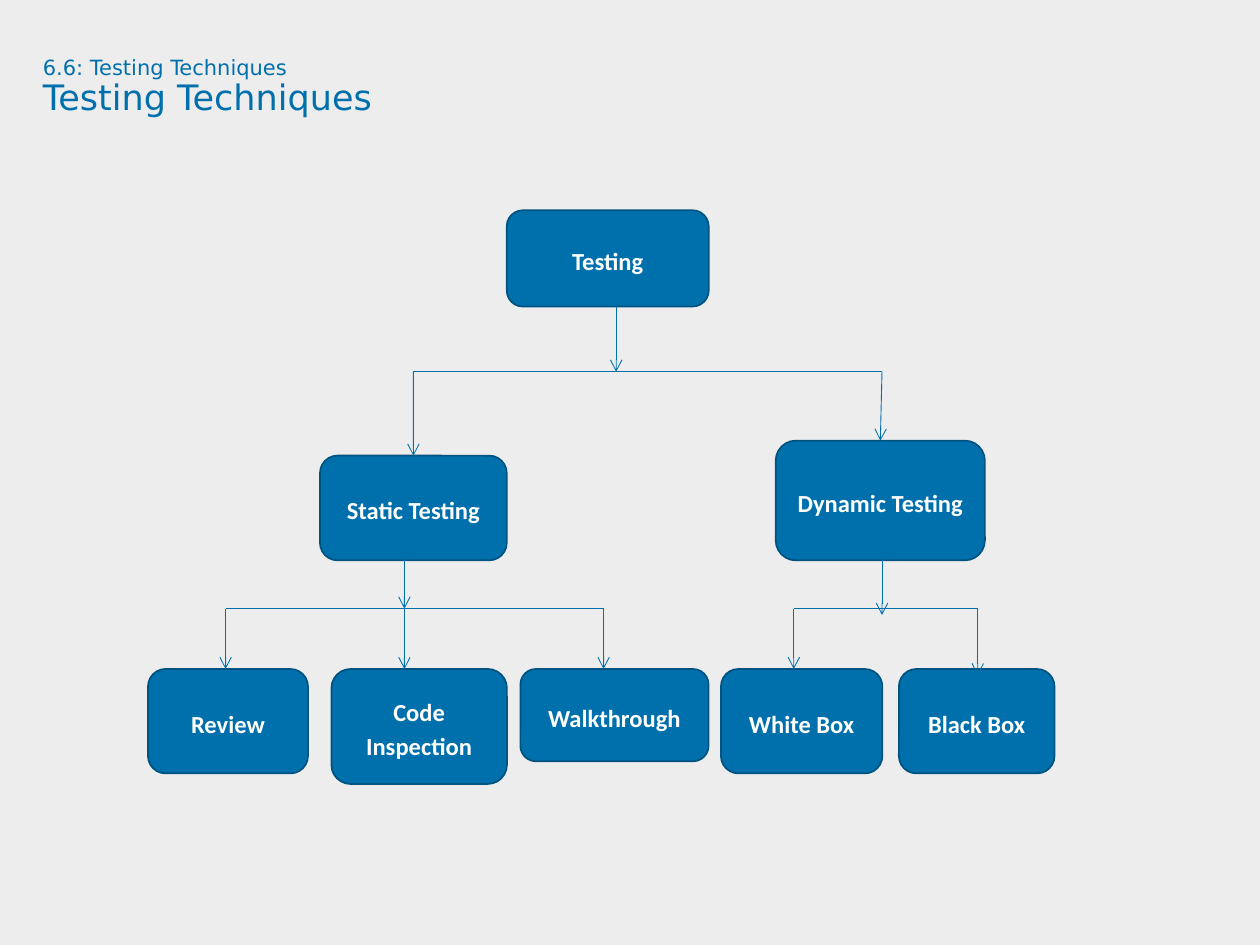
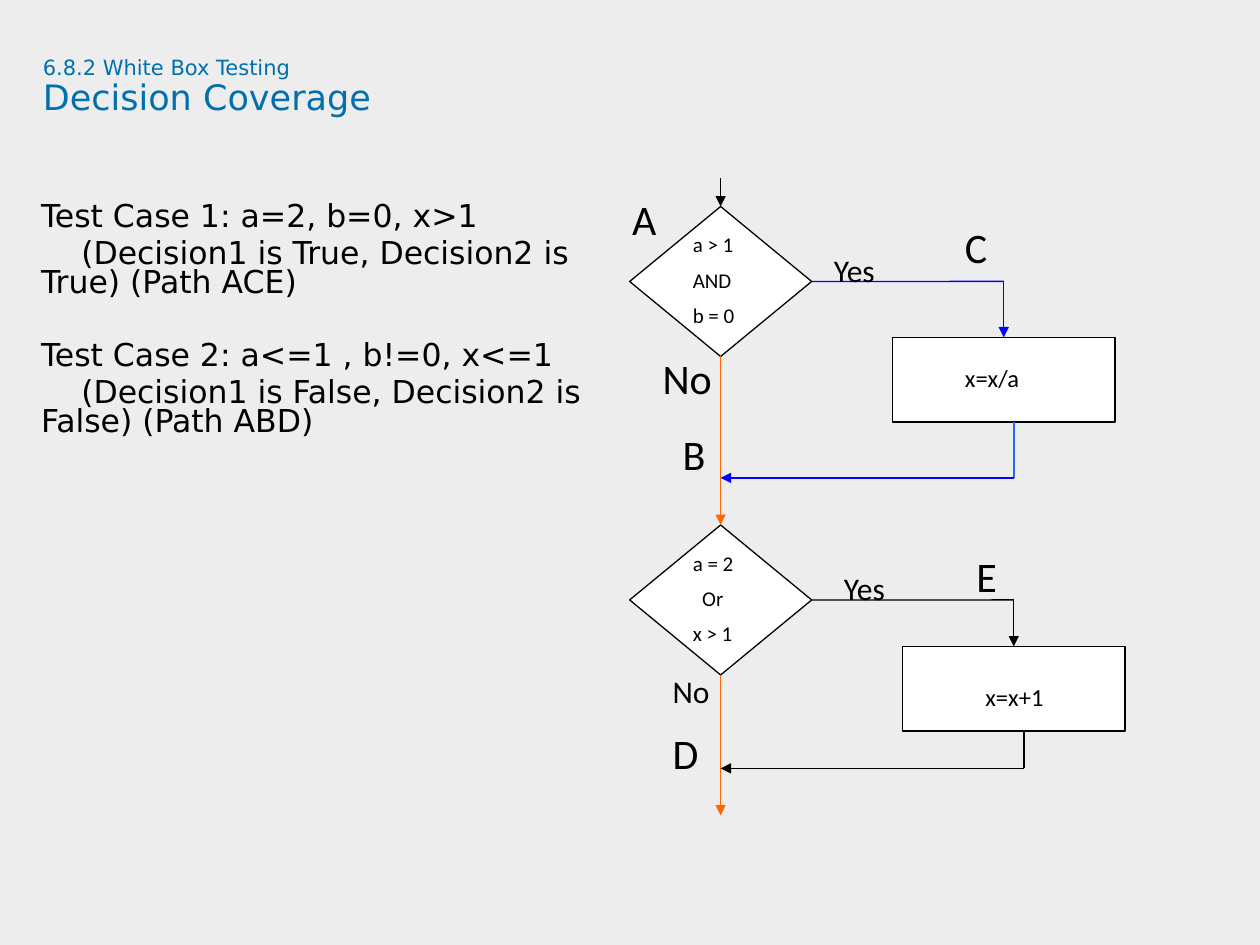
from lxml.etree import SubElement
from pptx import Presentation
from pptx.dml.color import RGBColor
from pptx.enum.shapes import MSO_CONNECTOR as Connector, MSO_SHAPE as Preset
from pptx.enum.text import MSO_ANCHOR as Anchor, PP_ALIGN as Align
from pptx.oxml.ns import qn
from pptx.util import Pt

BLUE = RGBColor(0x00, 0x70, 0xAD)
DARK_BLUE = RGBColor(0x00, 0x53, 0x80)
PURE_BLUE = RGBColor(0x00, 0x00, 0xFF)
LIGHT_BLUE = RGBColor(0x33, 0x66, 0xFF)
ORANGE = RGBColor(0xFF, 0x66, 0x00)
GREY = RGBColor(0xED, 0xED, 0xED)
WHITE = RGBColor(0xFF, 0xFF, 0xFF)
BLACK = RGBColor(0, 0, 0)
HEADING_FONT = "DejaVu Sans"
DIAGRAM_FONT = "Calibri"
TOP, BOTTOM, RIGHT = 0, 2, 3


def write(shape, lines, sizes, font=DIAGRAM_FONT, color=BLACK, bold=False,
          align=Align.LEFT, anchor=Anchor.TOP, inset=None,
          spacing=None, after=0, indents=()):
    """Write one paragraph per line; a single size or after serves all lines."""
    frame = shape.text_frame
    frame.word_wrap = True
    frame.vertical_anchor = anchor
    if inset is not None:
        frame.margin_left = frame.margin_right = Pt(inset)
        frame.margin_top = frame.margin_bottom = Pt(inset)
    for number, line in enumerate(lines):
        para = frame.add_paragraph() if number else frame.paragraphs[0]
        para.alignment = align
        para.line_spacing = spacing
        para.space_after = Pt(after[number] if isinstance(after, tuple) else after)
        if indents:
            para._p.get_or_add_pPr().set("indent", str(Pt(indents[number])))
        span = para.add_run()
        span.text = line
        span.font.size = Pt(sizes[number] if isinstance(sizes, tuple) else sizes)
        span.font.name = font
        span.font.bold = bold
        span.font.color.rgb = color


def connect(page, start, end, color, width, head=None, start_join=None, end_join=None):
    """Draw a straight line; a join is a (shape, side) pair."""
    line = page.shapes.add_connector(Connector.STRAIGHT, *map(Pt, start + end))
    if start_join:
        line.begin_connect(*start_join)
    if end_join:
        line.end_connect(*end_join)
    line.line.color.rgb = color
    line.line.width = Pt(width)
    if head:
        SubElement(line.line._get_or_add_ln(), qn("a:tailEnd"), type=head)
    SubElement(line._element.spPr, qn("a:effectLst"))


deck = Presentation()
deck.slide_width, deck.slide_height = Pt(720), Pt(540)

# Shared background and titles
background = deck.slide_master.background.fill
background.solid()
background.fore_color.rgb = GREY
pages = []
for section, title in [("6.6: Testing Techniques", "Testing Techniques"),
                       ("6.8.2 White Box Testing", "Decision Coverage")]:
    page = deck.slides.add_slide(deck.slide_layouts[6])
    heading = page.shapes.add_textbox(Pt(24.5), Pt(33), Pt(654.5), Pt(67.5))
    write(heading, [section, title], (12, 20), font=HEADING_FONT, color=BLUE,
          inset=0, spacing=0.9)
    pages.append(page)
tree_page, flow_page = pages

# Slide 1: tree of techniques
LEAF_TOP = 382.3
techniques = {}
for name, left, top, width, height in [
    ("Testing", 289.6, 120.2, 115.4, 55),
    ("Static Testing", 182.9, 260.4, 106.7, 59.8),
    ("Dynamic Testing", 443.3, 251.8, 119.5, 68.4),
    ("Review", 84.6, LEAF_TOP, 91.4, 59.6),
    ("Code Inspection", 189.4, LEAF_TOP, 100.3, 65.7),
    ("Walkthrough", 297.4, LEAF_TOP, 107.5, 52.7),
    ("White Box", 412, LEAF_TOP, 92.2, 59.6),
    ("Black Box", 513.7, LEAF_TOP, 88.9, 59.6),
]:
    box = tree_page.shapes.add_shape(Preset.ROUNDED_RECTANGLE,
                                     Pt(left), Pt(top), Pt(width), Pt(height))
    box.shadow.inherit = False
    box.fill.solid()
    box.fill.fore_color.rgb = BLUE
    box.line.color.rgb = DARK_BLUE
    box.line.width = Pt(1)
    write(box, [name], 14, color=WHITE, bold=True, align=Align.CENTER,
          anchor=Anchor.MIDDLE, spacing=1.15, after=10)
    techniques[name] = box

# Each branch: a stem, a bar, and a drop to every child
static_top = (techniques["Static Testing"], TOP)
dynamic_top = (techniques["Dynamic Testing"], TOP)
for stem_start, stem_end, bar_y, drops in [
    ((352.1, 175.4), (352.1, 212.4), 212.4,
     [(236.2, 236.2, 260.4, static_top), (504, 503, 251.8, dynamic_top)]),
    ((231.1, 313.2), (231.1, 347.8), 347.8,
     [(x, x, LEAF_TOP, None) for x in (128.9, 231.1, 344.9)]),
    ((504, 316.8), (504, 351.4), 347.8,
     [(453.6, 453.6, LEAF_TOP, None), (558.7, 558.7, 385.9, None)]),
]:
    connect(tree_page, stem_start, stem_end, BLUE, 0.5, "arrow")
    connect(tree_page, (drops[0][0], bar_y), (drops[-1][0], bar_y), BLUE, 0.5)
    for bar_x, child_x, child_y, join in drops:
        connect(tree_page, (bar_x, bar_y), (child_x, child_y), BLUE, 0.5, "arrow",
                end_join=join)

# Slide 2: test cases
cases = flow_page.shapes.add_textbox(Pt(23.5), Pt(117.3), Pt(319.7), Pt(365.8))
write(cases, ["Test Case 1: a=2, b=0, x>1",
              "(Decision1 is True, Decision2 is True) (Path ACE)",
              "Test Case 2: a<=1 , b!=0, x<=1",
              "(Decision1 is False, Decision2 is False) (Path ABD)"],
      18, font=HEADING_FONT, inset=0, spacing=Pt(16.5),
      after=(4.5, 25.5, 4.5, 4.5), indents=(0, 23, 0, 23))

# Decisions and processes
flow_shapes = []
for preset, left, top, width, height in [
    (Preset.FLOWCHART_DECISION, 359.8, 118, 104, 85.7),
    (Preset.FLOWCHART_DECISION, 359.8, 300, 104, 85.7),
    (Preset.FLOWCHART_PROCESS, 510, 192.8, 127.2, 48.3),
    (Preset.FLOWCHART_PROCESS, 515.7, 369.4, 127.2, 48.3),
]:
    box = flow_page.shapes.add_shape(preset, Pt(left), Pt(top), Pt(width), Pt(height))
    box.shadow.inherit = False
    box.fill.solid()
    box.fill.fore_color.rgb = WHITE
    box.line.color.rgb = BLACK
    box.line.width = Pt(0.75)
    flow_shapes.append(box)
first_decision, second_decision, divide, increment = flow_shapes

# Main path down the middle
PATH_X = 411.8
for start_y, end_y, color, start_join, end_join in [
    (102, 118, BLACK, None, (first_decision, TOP)),
    (203.7, 300, ORANGE, (first_decision, BOTTOM), (second_decision, TOP)),
    (385.7, 466, ORANGE, (second_decision, BOTTOM), None),
]:
    connect(flow_page, (PATH_X, start_y), (PATH_X, end_y), color, 0.75, "triangle",
            start_join, end_join)

# Yes branches: out to the process and back to the path
for decision, process, out_y, in_x, in_y, back_x, bottom_y, back_y, color, exit_color in [
    (first_decision, divide, 160.8, 573.6, 192.8, 579.4, 241.1, 273.1,
     PURE_BLUE, LIGHT_BLUE),
    (second_decision, increment, 342.8, 579.3, 369.4, 585.2, 417.7, 439.1,
     BLACK, BLACK),
]:
    connect(flow_page, (463.8, out_y), (in_x, out_y), color, 0.75,
            start_join=(decision, RIGHT))
    connect(flow_page, (in_x, out_y), (in_x, in_y), color, 0.75, "triangle",
            end_join=(process, TOP))
    connect(flow_page, (back_x, bottom_y), (back_x, back_y), exit_color, 0.75)
    connect(flow_page, (back_x, back_y), (PATH_X, back_y), color, 0.75, "triangle")

# Labels of paths, answers and processes
for label, left, top, width, height, size in [
    ("A", 354.2, 107.3, 57.6, 34.6, 24),
    ("B", 383, 241.2, 27.4, 34.6, 24),
    ("D", 377.3, 412.2, 29.5, 34.6, 24),
    ("C", 544.3, 123.1, 27.4, 34.6, 24),
    ("E", 550.8, 311, 26.6, 34.6, 24),
    ("x=x/a", 544.3, 203.8, 103.7, 23, 14),
    ("x=x+1", 556, 385.9, 109.4, 23, 14),
    ("Yes", 469.4, 139.7, 46.1, 27.4, 18),
    ("No", 371.5, 198, 63.4, 34.6, 24),
    ("Yes", 475.2, 321.8, 46.1, 27.4, 18),
    ("No", 377.3, 380.5, 46.1, 27.4, 18),
]:
    box = flow_page.shapes.add_textbox(Pt(left), Pt(top), Pt(width), Pt(height))
    write(box, [label], size)

# Conditions inside the decisions
for conditions, top, width, middle_indent in [
    (["a > 1", "AND", "b = 0"], 129, 74.9, 0),
    (["a = 2", "Or", "x > 1"], 311, 57.6, 5.4),
]:
    box = flow_page.shapes.add_textbox(Pt(388.8), Pt(top), Pt(width), Pt(62))
    write(box, conditions, 12, after=(5.7, 5.7, 0), indents=(0, middle_indent, 0))

deck.save("out.pptx")
